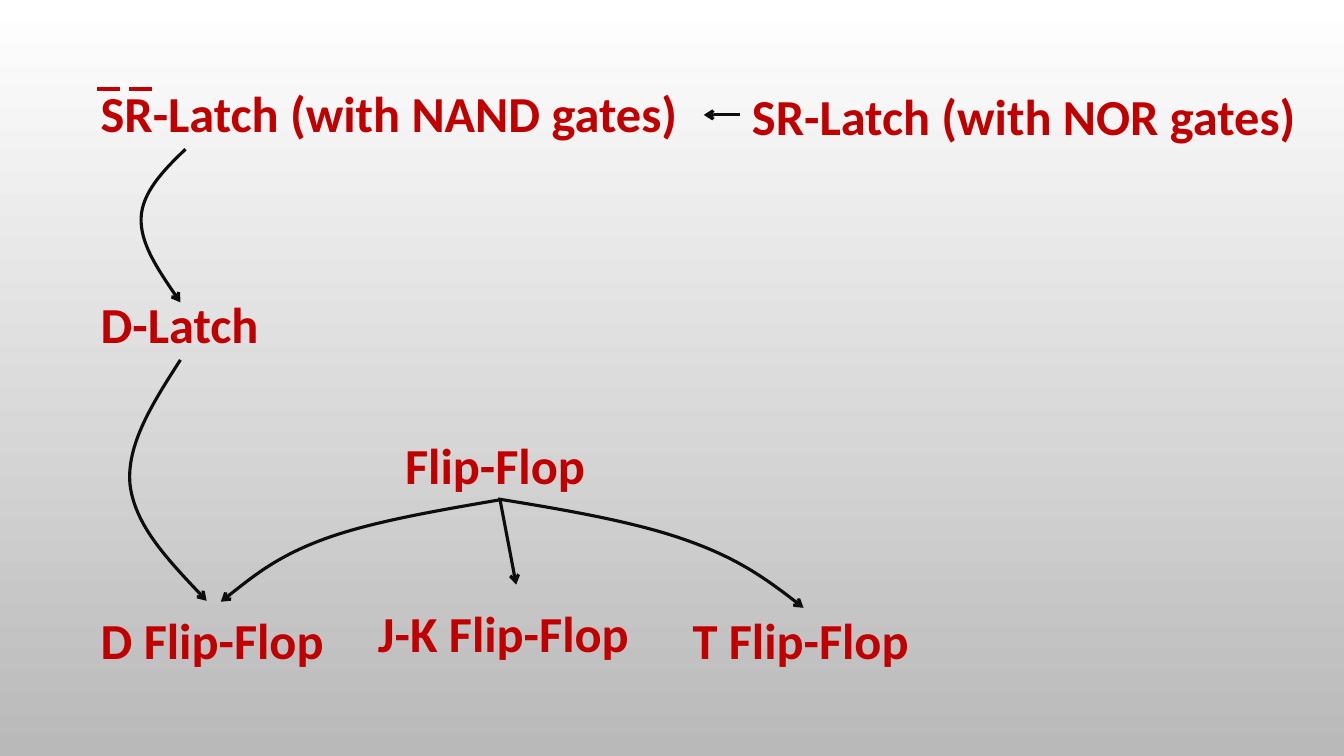
from lxml.etree import SubElement
from pptx import Presentation
from pptx.dml.color import RGBColor
from pptx.enum.shapes import MSO_CONNECTOR
from pptx.enum.text import MSO_AUTO_SIZE
from pptx.oxml.ns import qn
from pptx.util import Inches, Pt

RED, INK = "C00000", "0D0D0D"
LABEL_HEIGHT = 0.71
BACKGROUND = ["FFFFFF", "B9B9B9"]
LABELS = [
    ("Flip-Flop", 3.92, 4.26, 2.04),
    ("D-Latch", 0.9, 2.86, 1.78),
    ("D Flip-Flop", 0.9, 5.99, 2.5),
    ("J-K Flip-Flop", 3.65, 5.92, 2.87),
    ("T Flip-Flop", 6.77, 5.99, 2.42),
    ("SR-Latch (with NAND gates)", 0.9, 0.77, 6.14),
    ("SR-Latch (with NOR gates)", 7.36, 0.79, 5.79),
]
FLIP_FLOP_TO_D = [(4.95, 4.96), (4.31, 5.07), (3.67, 5.18), (3.21, 5.35),
                  (2.75, 5.52), (2.47, 5.75), (2.19, 5.97)]
FLIP_FLOP_TO_T = [(4.94, 4.95), (5.62, 5.06), (6.31, 5.18), (6.81, 5.36),
                  (7.32, 5.54), (7.65, 5.78), (7.97, 6.03)]
D_LATCH_TO_D = [(1.79, 3.57), (1.52, 3.99), (1.25, 4.41), (1.29, 4.81),
                (1.34, 5.21), (1.7, 5.59), (2.05, 5.96)]
SR_TO_D_LATCH = [(1.84, 1.48), (1.62, 1.69), (1.41, 1.91), (1.4, 2.16),
                 (1.39, 2.41), (1.59, 2.71), (1.79, 3)]
CURVED_ARROWS = [FLIP_FLOP_TO_D, FLIP_FLOP_TO_T, D_LATCH_TO_D, SR_TO_D_LATCH]
FLIP_FLOP_TO_JK = [(4.96, 4.96), (5.12, 5.8)]
NOR_TO_NAND = [(7.34, 1.14), (6.98, 1.14)]
OVERBAR_STARTS = [0.96, 1.28]
OVERBAR_TOP, OVERBAR_WIDTH = 0.88, 0.23


def color(value):
    return RGBColor.from_string(value)


def style_line(shape, value, width, arrow=False):
    shape.line.color.rgb = color(value)
    shape.line.width = Pt(width)
    if arrow:
        SubElement(shape.line._get_or_add_ln(), qn("a:tailEnd"), type="arrow")


def add_label(slide, text, left, top, width):
    box = slide.shapes.add_textbox(*map(Inches, (left, top, width, LABEL_HEIGHT)))
    frame = box.text_frame
    frame.word_wrap = False
    frame.auto_size = MSO_AUTO_SIZE.SHAPE_TO_FIT_TEXT
    run = frame.paragraphs[0].add_run()
    run.text = text
    run.font.name = "Calibri"
    run.font.size = Pt(36)
    run.font.bold = True
    run.font.color.rgb = color(RED)


def add_straight(slide, start, end, value, width, arrow=False):
    line = slide.shapes.add_connector(
        MSO_CONNECTOR.STRAIGHT, *map(Inches, (*start, *end)))
    style_line(line, value, width, arrow)
    SubElement(line._element.spPr, qn("a:effectLst"))


def add_curve(slide, controls):
    points = [tuple(map(Inches, point)) for point in controls]
    builder = slide.shapes.build_freeform(*points[0])
    builder.add_line_segments(points[3::3], close=False)
    curve = builder.convert_to_shape()
    for index, segment in enumerate(list(curve._element.iter(qn("a:lnTo")))):
        bend = segment.makeelement(qn("a:cubicBezTo"))
        for x, y in points[3 * index + 1:3 * index + 4]:
            SubElement(bend, qn("a:pt"), x=str(x - curve.left), y=str(y - curve.top))
        segment.getparent().replace(segment, bend)
    curve.fill.background()
    style_line(curve, INK, 2.25, arrow=True)
    curve.shadow.inherit = False


def main():
    """Build the slide that relates latches to flip-flops."""
    presentation = Presentation()
    presentation.slide_width, presentation.slide_height = Inches(13.33), Inches(7.5)
    slide = presentation.slides.add_slide(presentation.slide_layouts[6])
    fill = slide.background.fill
    fill.gradient()
    fill.gradient_angle = 270
    for stop, value in zip(fill.gradient_stops, BACKGROUND):
        stop.color.rgb = color(value)
    for label in LABELS:
        add_label(slide, *label)
    for controls in CURVED_ARROWS:
        add_curve(slide, controls)
    for start, end in (FLIP_FLOP_TO_JK, NOR_TO_NAND):
        add_straight(slide, start, end, INK, 2.25, arrow=True)
    for left in OVERBAR_STARTS:
        add_straight(slide, (left, OVERBAR_TOP),
                     (left + OVERBAR_WIDTH, OVERBAR_TOP), RED, 3)
    presentation.save("out.pptx")


if __name__ == "__main__":
    main()
